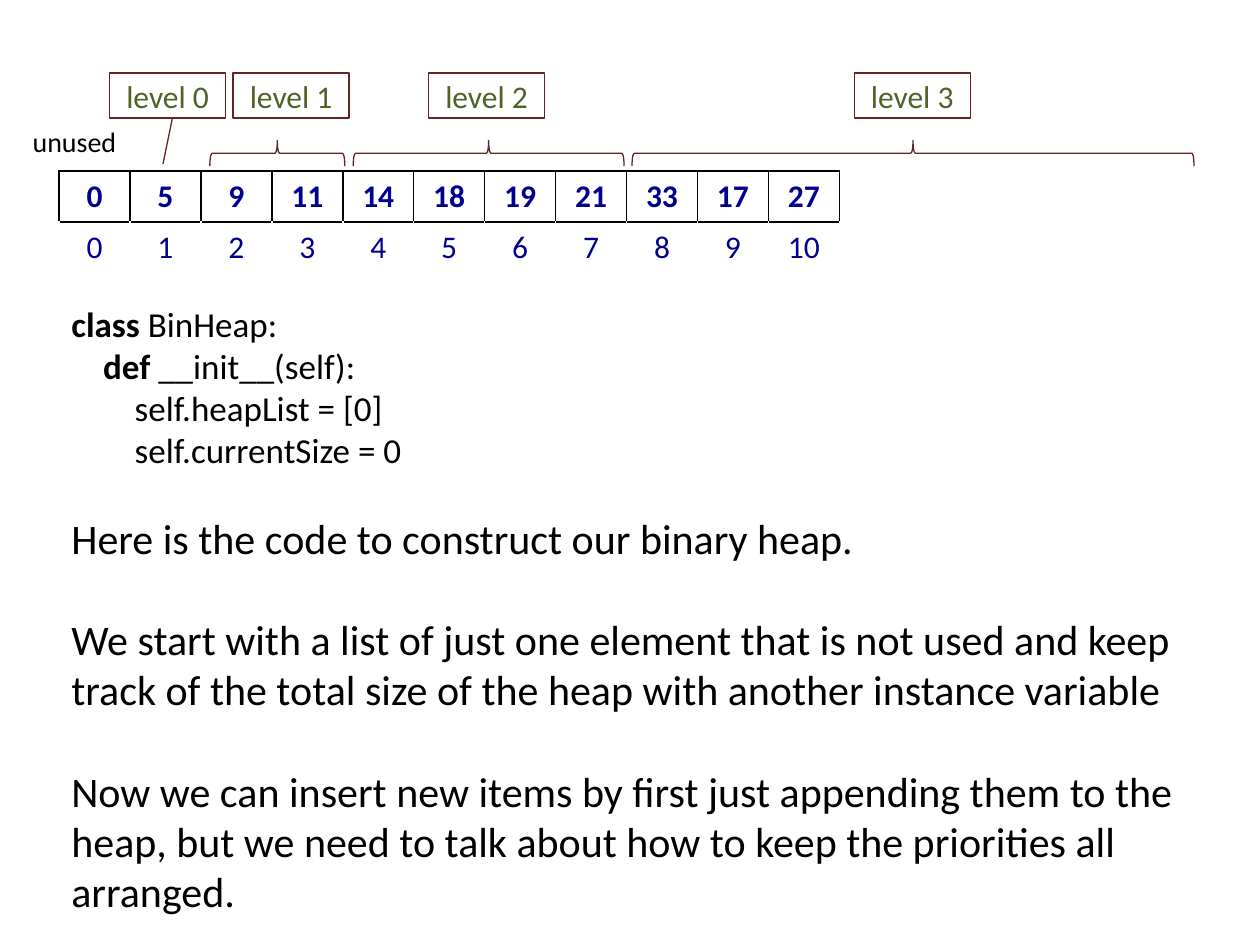
import pptx
import pptx.util
import pptx.dml.color
import pptx.enum.shapes
import pptx.enum.text
import pptx.oxml
import pptx.oxml.ns

Cm, Pt = pptx.util.Cm, pptx.util.Pt
SHAPE = pptx.enum.shapes.MSO_SHAPE
CENTER = pptx.enum.text.PP_ALIGN.CENTER
MIDDLE = pptx.enum.text.MSO_ANCHOR.MIDDLE

VALUES = [0, 5, 9, 11, 14, 18, 19, 21, 33, 17, 27]
COLUMNS = 16
LABEL_LEFTS = [1.02, 3.51, 7.45, 16.03]
BRACES = [(3.04, 2.72), (5.93, 5.46), (11.55, 11.33)]
CODE = [
    [("class", True), (" BinHeap:", False)],
    [("    ", False), ("def", True), (" __init__(self):", False)],
    [("        self.heapList = [0]", False)],
    [("        self.currentSize = 0", False)],
]
NOTES = [
    "Here is the code to construct our binary heap.",
    "We start with a list of just one element that is not used and keep track of "
    "the total size of the heap with another instance variable",
    "Now we can insert new items by first just appending them to the heap, but we "
    "need to talk about how to keep the priorities all arranged.",
]


def rgb(color):
    """Turn a hex string into a colour."""
    return pptx.dml.color.RGBColor.from_string(color)


def set_font(p, size, color="000000", bold=False):
    """Set the font of a paragraph."""
    p.font.name, p.font.size, p.font.bold = "Calibri", Pt(size), bold
    p.font.color.rgb = rgb(color)


def set_borders(cell, colors):
    """Draw the left, right, top and bottom borders of a cell."""
    tc_pr = cell._tc.get_or_add_tcPr()
    for i, (side, color) in enumerate(zip("LRTB", colors)):
        tc_pr.insert(i, pptx.oxml.parse_xml(
            f'<a:ln{side} {pptx.oxml.ns.nsdecls("a")} w="12700"><a:solidFill>'
            f'<a:srgbClr val="{color}"/></a:solidFill></a:ln{side}>'))


def add_outline(s, kind, left, top, width, height):
    """Add an unfilled shape with a thin dark red line."""
    sp = s.shapes.add_shape(kind, Cm(left), Cm(top), Cm(width), Cm(height))
    sp.shadow.inherit = False
    sp.fill.background()
    sp.line.color.rgb = rgb("632523")
    sp.line.width = Pt(0.75)
    return sp


def add_array(s, left, top, width, height):
    """Add the heap values above their indices."""
    table = s.shapes.add_table(2, COLUMNS, Cm(left), Cm(top), Cm(width), Cm(height)).table
    table.first_row = table.horz_banding = False
    black, white = "000000", "FFFFFF"
    used = len(VALUES)
    for col in range(COLUMNS):
        edge = black if col < used else white
        left_edge = black if col <= used else white
        borders = [(left_edge, edge, edge, edge), (white, white, edge, white)]
        for row in range(2):
            cell = table.cell(row, col)
            cell.fill.background()
            set_borders(cell, borders[row])
            if col < used:
                p = cell.text_frame.paragraphs[0]
                p.text = str((VALUES[col], col)[row])
                p.alignment = CENTER
                set_font(p, 18, "000090", row == 0)


def add_heap(s, left, top, width):
    """Add the heap array with its level labels and braces."""
    add_array(s, left, top + 1.98, width, 2.06)

    box = s.shapes.add_textbox(Cm(left - 0.78), Cm(top + 0.92), Cm(2.21), Cm(0.94))
    box.text_frame.word_wrap = False
    p = box.text_frame.paragraphs[0]
    p.text = "unused"
    set_font(p, 16)

    for level, offset in enumerate(LABEL_LEFTS):
        kind = SHAPE.RECTANGLE if level else SHAPE.LINE_CALLOUT_1
        sp = add_outline(s, kind, left + offset, top, 2.34, 0.91)
        if level == 0:
            for i, value in enumerate((1.02, 0.54, 2.02, 0.46)):
                sp.adjustments[i] = value
        tf = sp.text_frame
        tf.vertical_anchor = MIDDLE
        p = tf.paragraphs[0]
        p.text = f"level {level}"
        p.alignment = CENTER
        set_font(p, 18, "4F6228")

    depth = 0.52
    for offset, span in BRACES:
        shift = (span - depth) / 2
        sp = add_outline(s, SHAPE.LEFT_BRACE, left + offset + shift,
                         top + 1.36 - shift, depth, span)
        sp.rotation = 90


def add_explanation(s, left, top, width, height):
    """Add the code and the paragraphs that explain it."""
    tf = s.shapes.add_textbox(Cm(left), Cm(top), Cm(width), Cm(height)).text_frame
    tf.word_wrap = True
    for i, line in enumerate(CODE):
        p = tf.add_paragraph() if i else tf.paragraphs[0]
        set_font(p, 20)
        for text, bold in line:
            r = p.add_run()
            r.text, r.font.bold = text, bold
    for i, text in enumerate(NOTES):
        p = tf.add_paragraph()
        p.text = text
        p.space_before = Pt(29 if i else 24)
        set_font(p, 24)


def main():
    """Build the slide and save it."""
    prs = pptx.Presentation()
    prs.slide_width, prs.slide_height = Cm(25.4), Cm(19.05)
    s = prs.slides.add_slide(prs.slide_layouts[6])
    add_heap(s, 1.19, 1.47, 22.88)
    add_explanation(s, 1.19, 5.97, 22.88, 12.75)
    prs.save("out.pptx")


if __name__ == "__main__":
    main()
